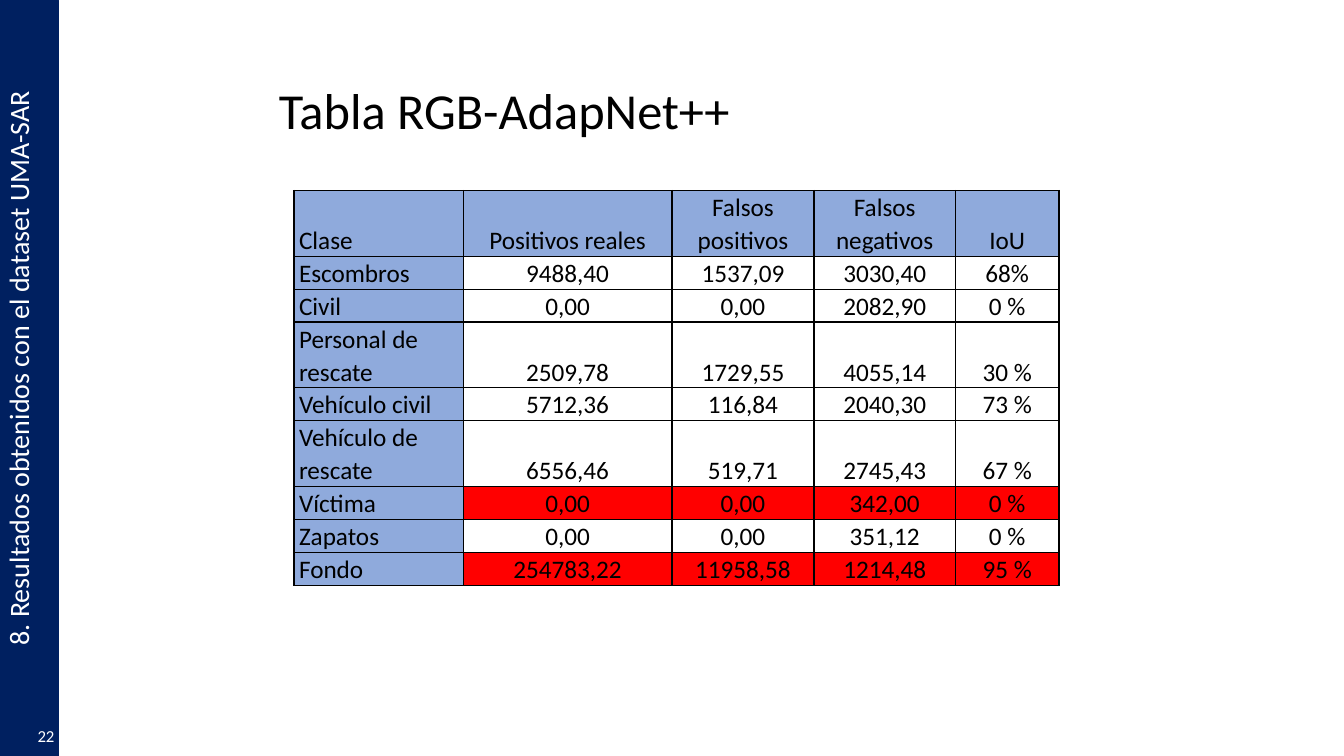
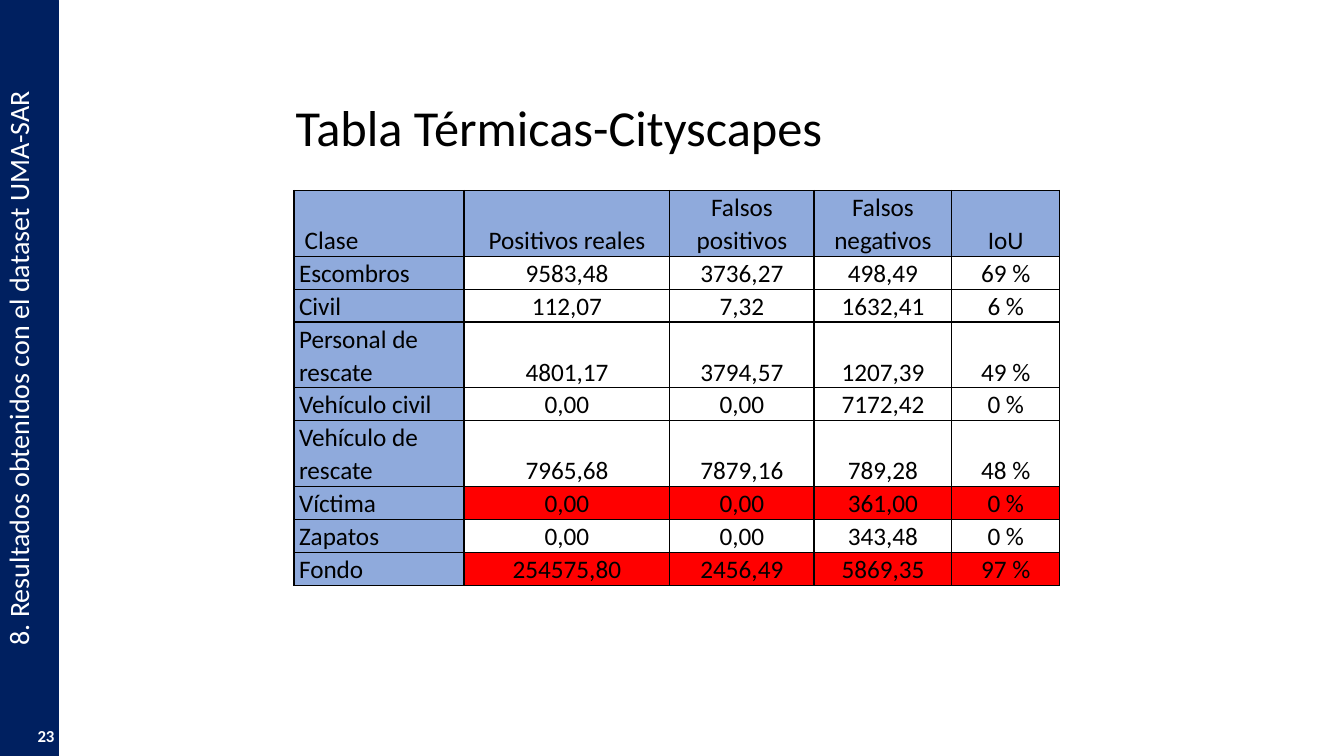
import pptx
import pptx.dml.color
import pptx.enum.shapes
import pptx.enum.text
import pptx.oxml
import pptx.oxml.ns
import pptx.util

Pt = pptx.util.Pt
ALIGN = pptx.enum.text.PP_ALIGN
ANCHOR = pptx.enum.text.MSO_ANCHOR

NAVY, BLUE, RED, BLACK, WHITE = "002060", "8FAADC", "FF0000", "000000", "FFFFFF"
FONT = "Calibri"
SECTION = "8. Resultados obtenidos con el dataset UMA-SAR"
SLIDE_W, SLIDE_H, BAND_W = 960, 540, 42
LINE_H = 23.5
HEADER = ["Clase", "Positivos reales", "Falsos positivos", "Falsos negativos", "IoU"]
TWO_LINE_ROWS = ("Clase", "Personal de rescate", "Vehículo de rescate")
RED_ROWS = ("Víctima", "Fondo")

SLIDES = [
    {
        "title": "Tabla RGB-AdapNet++", "title_at": (192, 29),
        "number": "22", "number_bold": False,
        "cols": [121, 149, 101.5, 101, 74], "first_inset": 3.6,
        "rows": [
            ["Escombros", "9488,40", "1537,09", "3030,40", "68%"],
            ["Civil", "0,00", "0,00", "2082,90", "0 %"],
            ["Personal de rescate", "2509,78", "1729,55", "4055,14", "30 %"],
            ["Vehículo civil", "5712,36", "116,84", "2040,30", "73 %"],
            ["Vehículo de rescate", "6556,46", "519,71", "2745,43", "67 %"],
            ["Víctima", "0,00", "0,00", "342,00", "0 %"],
            ["Zapatos", "0,00", "0,00", "351,12", "0 %"],
            ["Fondo", "254783,22", "11958,58", "1214,48", "95 %"],
        ],
    },
    {
        "title": "Tabla Térmicas-Cityscapes", "title_at": (204, 41),
        "number": "23", "number_bold": True,
        "cols": [121.5, 147, 103, 98.5, 77], "first_inset": 7.7,
        "rows": [
            ["Escombros", "9583,48", "3736,27", "498,49", "69 %"],
            ["Civil", "112,07", "7,32", "1632,41", "6 %"],
            ["Personal de rescate", "4801,17", "3794,57", "1207,39", "49 %"],
            ["Vehículo civil", "0,00", "0,00", "7172,42", "0 %"],
            ["Vehículo de rescate", "7965,68", "7879,16", "789,28", "48 %"],
            ["Víctima", "0,00", "0,00", "361,00", "0 %"],
            ["Zapatos", "0,00", "0,00", "343,48", "0 %"],
            ["Fondo", "254575,80", "2456,49", "5869,35", "97 %"],
        ],
    },
]


def rgb(color):
    return pptx.dml.color.RGBColor.from_string(color)


def write(tf, text, size, color, align=ALIGN.LEFT, spacing=1.0, bold=False):
    """Put one formatted run in the first paragraph of a text frame."""
    p = tf.paragraphs[0]
    p.alignment = align
    p.line_spacing = spacing
    r = p.add_run()
    r.text = text
    r.font.name = FONT
    r.font.size = Pt(size)
    r.font.bold = bold
    r.font.color.rgb = rgb(color)


prs = pptx.Presentation()
prs.slide_width, prs.slide_height = Pt(SLIDE_W), Pt(SLIDE_H)
title_only = prs.slide_layouts[5]

for data in SLIDES:
    s = prs.slides.add_slide(title_only)

    # Title
    title = s.shapes.title
    left, top = data["title_at"]
    title.left, title.top, title.width, title.height = Pt(left), Pt(top), Pt(702), Pt(104)
    title.text_frame.vertical_anchor = ANCHOR.MIDDLE
    write(title.text_frame, data["title"], 36, BLACK, spacing=0.9)

    # Section band, turned to run up the left edge
    band = s.shapes.add_shape(
        pptx.enum.shapes.MSO_SHAPE.RECTANGLE,
        Pt((BAND_W - SLIDE_H) / 2), Pt((SLIDE_H - BAND_W) / 2), Pt(SLIDE_H), Pt(BAND_W))
    band.rotation = 270
    band.shadow.inherit = False
    band.fill.solid()
    band.fill.fore_color.rgb = rgb(NAVY)
    band.line.color.rgb = rgb(NAVY)
    band.line.width = Pt(0.75)
    tf = band.text_frame
    tf.vertical_anchor = ANCHOR.TOP
    tf.margin_left = Pt(79)
    write(tf, SECTION, 20, WHITE, spacing=0.9)

    # Slide number
    number = s.shapes.add_textbox(0, Pt(511), Pt(46), Pt(29))
    tf = number.text_frame
    tf.word_wrap = True
    tf.vertical_anchor = ANCHOR.MIDDLE
    write(tf, data["number"], 12, WHITE, ALIGN.RIGHT, bold=data["number_bold"])

    # Results table
    rows = [HEADER] + data["rows"]
    heights = [LINE_H * (2 if row[0] in TWO_LINE_ROWS else 1) for row in rows]
    table = s.shapes.add_table(len(rows), len(HEADER), Pt(210), Pt(136),
                               Pt(sum(data["cols"])), Pt(sum(heights))).table
    table.first_row = table.horz_banding = False
    for column, width in zip(table.columns, data["cols"]):
        column.width = Pt(width)
    for i, row in enumerate(rows):
        table.rows[i].height = Pt(heights[i])
        for j, text in enumerate(row):
            cell = table.cell(i, j)
            cell.vertical_anchor = ANCHOR.BOTTOM
            cell.margin_left = Pt(data["first_inset"] if i == j == 0 else 3.6)
            cell.margin_right = Pt(3.6)
            cell.margin_top = cell.margin_bottom = 0
            write(cell.text_frame, text, 18, BLACK,
                  ALIGN.CENTER if j else ALIGN.LEFT, spacing=1.07)
            tc_pr = cell._tc.get_or_add_tcPr()
            for side in ("lnL", "lnR", "lnT", "lnB"):
                tc_pr.append(pptx.oxml.parse_xml(
                    f'<a:{side} {pptx.oxml.ns.nsdecls("a")} w="{Pt(1)}"><a:solidFill>'
                    f'<a:srgbClr val="{BLACK}"/></a:solidFill></a:{side}>'))
            if i == 0 or j == 0 or row[0] in RED_ROWS:
                cell.fill.solid()
                cell.fill.fore_color.rgb = rgb(BLUE if i == 0 or j == 0 else RED)
            else:
                cell.fill.background()

prs.save("out.pptx")
